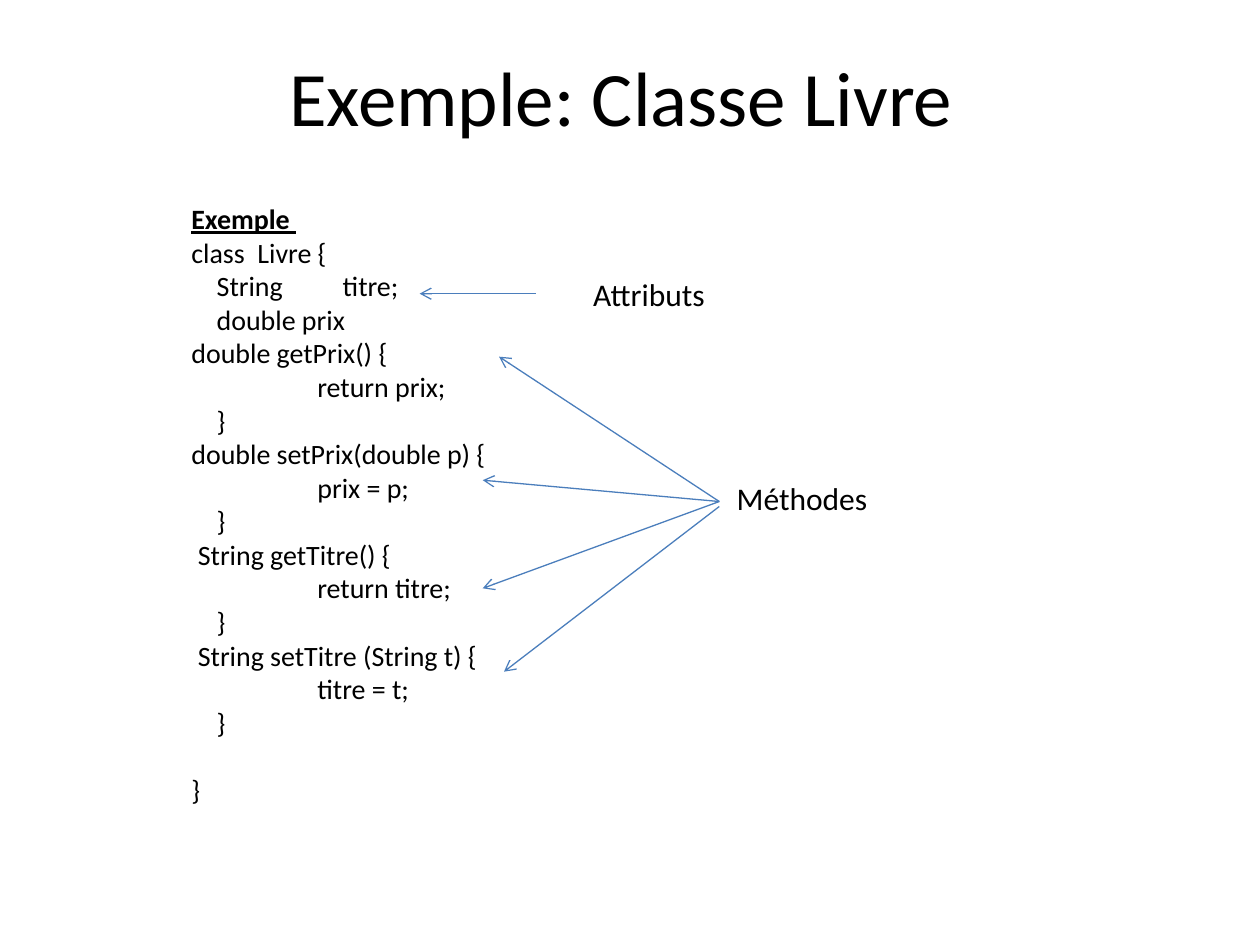
"""Build the slide that explains the attributes and methods of the class Livre."""
from lxml.etree import SubElement
from pptx import Presentation
from pptx.dml.color import RGBColor
from pptx.enum.shapes import MSO_CONNECTOR as Connector
from pptx.enum.text import MSO_ANCHOR as Anchor, MSO_AUTO_SIZE as AutoSize, PP_ALIGN as Align
from pptx.oxml.ns import qn
from pptx.util import Cm, Pt

FONT, BLACK, BLUE = "Calibri", "000000", "4B7EBC"
TITLE = "Exemple: Classe Livre "
HEADING = "Exemple "
MARGIN, SPACE, MEMBER, BODY = 0, 0.13, 0.51, 2.54
CODE = [
    (MARGIN, HEADING),
    (MARGIN, "class  Livre {"),
    (MEMBER, "String\ttitre;"),
    (MEMBER, "double prix"),
    (MARGIN, "double getPrix() {"),
    (BODY, "return prix;"),
    (MEMBER, "}"),
    (MARGIN, "double setPrix(double p) {"),
    (BODY, "prix = p;"),
    (MEMBER, "}"),
    (SPACE, "String getTitre() {"),
    (BODY, "return titre;"),
    (MEMBER, "}"),
    (SPACE, "String setTitre (String t) {"),
    (BODY, "titre = t;"),
    (MEMBER, "}"),
    (MARGIN, "}"),
]
NAME_COLUMN = 2.6
CLOSING_GAP = 19.2
LABELS = [("Attributs", 11.71, 5.41, 2.79), ("Méthodes", 14.6, 9.53, 3.18)]
ARROWS = [
    ((14.5, 10.11), (10.06, 7.19)),
    ((14.5, 10.11), (9.73, 9.68)),
    ((14.5, 10.11), (9.73, 11.86)),
    ((14.5, 10.21), (10.16, 13.54)),
    ((10.8, 5.92), (8.46, 5.92)),
]


def color(value):
    return RGBColor.from_string(value)


def set_font(paragraph, size):
    font = paragraph.font
    font.name, font.size = FONT, Pt(size)
    font.color.rgb = color(BLACK)


def add_text(left, top, width, height, wrap=True):
    frame = slide.shapes.add_textbox(Cm(left), Cm(top), Cm(width), Cm(height)).text_frame
    frame.word_wrap = wrap
    frame.vertical_anchor = Anchor.TOP
    return frame


def add_arrow(start, end):
    arrow = slide.shapes.add_connector(Connector.STRAIGHT, *map(Cm, start + end))
    arrow.line.color.rgb = color(BLUE)
    arrow.line.width = Pt(0.75)
    SubElement(arrow.line._get_or_add_ln(), qn("a:tailEnd"), type="arrow")
    SubElement(arrow._element.spPr, qn("a:effectLst"))


deck = Presentation()
deck.slide_width, deck.slide_height = Cm(25.4), Cm(19.05)
slide = deck.slides.add_slide(deck.slide_layouts[6])

title = add_text(1.27, 0.76, 22.86, 3.18)
title.margin_top = Cm(0.23)
title.text = TITLE
title.paragraphs[0].alignment = Align.CENTER
set_font(title.paragraphs[0], 44)

listing = add_text(3.61, 3.94, 12.9, 12.57)
listing.text = "\n".join(text for _, text in CODE)
for paragraph, (indent, text) in zip(listing.paragraphs, CODE):
    properties = paragraph._p.get_or_add_pPr()
    properties.set("marL", str(Cm(indent)))
    properties.set("indent", "0")
    if "\t" in text:
        tabs = SubElement(properties, qn("a:tabLst"))
        SubElement(tabs, qn("a:tab"), pos=str(Cm(NAME_COLUMN)), algn="l")
    set_font(paragraph, 16)
heading, closing = listing.paragraphs[0], listing.paragraphs[-1]
heading.font.bold = heading.font.underline = True
closing.space_before = Pt(CLOSING_GAP)

for start, end in ARROWS:
    add_arrow(start, end)

for text, left, top, width in LABELS:
    label = add_text(left, top, width, 1.02, wrap=False)
    label.auto_size = AutoSize.SHAPE_TO_FIT_TEXT
    label.text = text
    set_font(label.paragraphs[0], 18)

deck.save("out.pptx")
